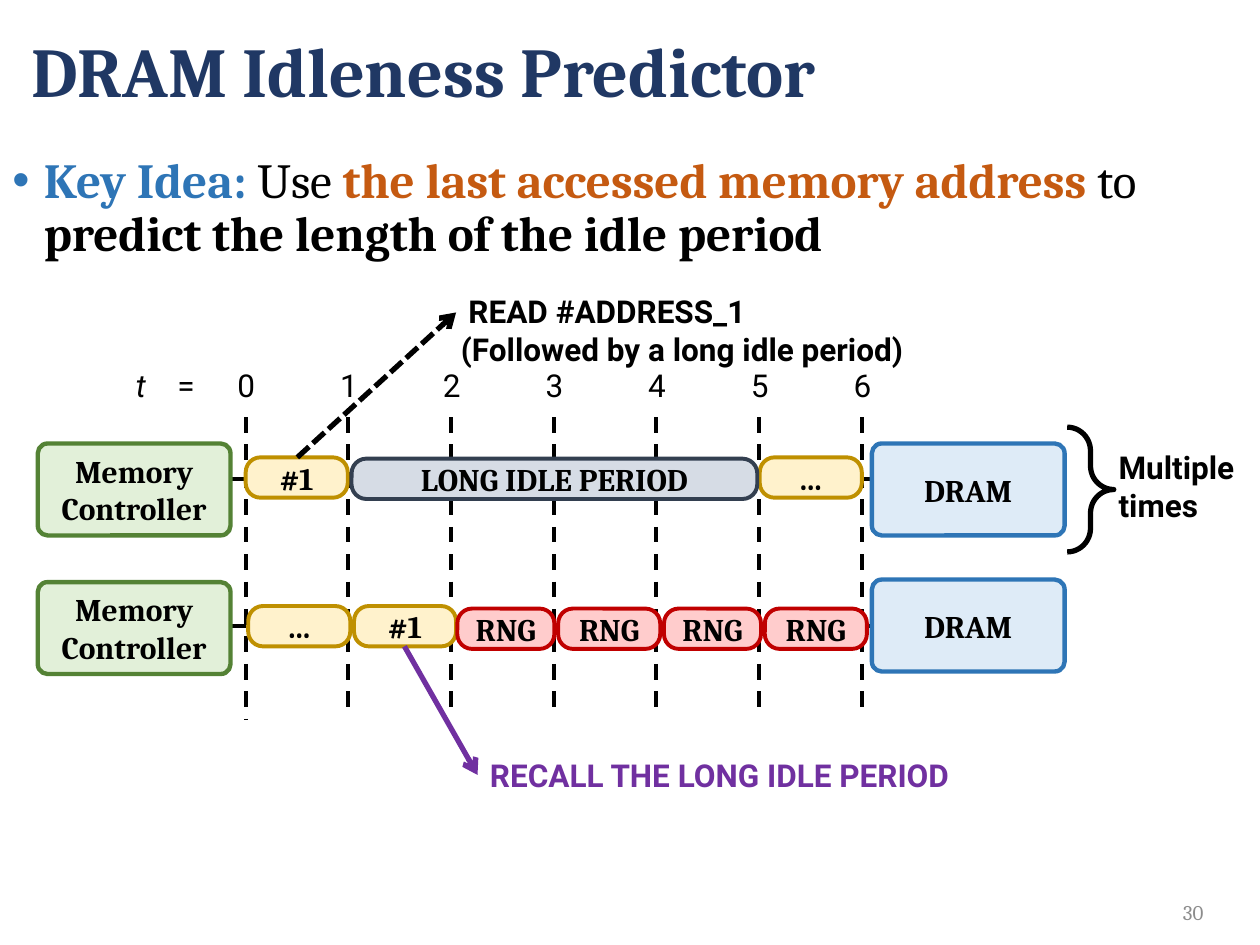
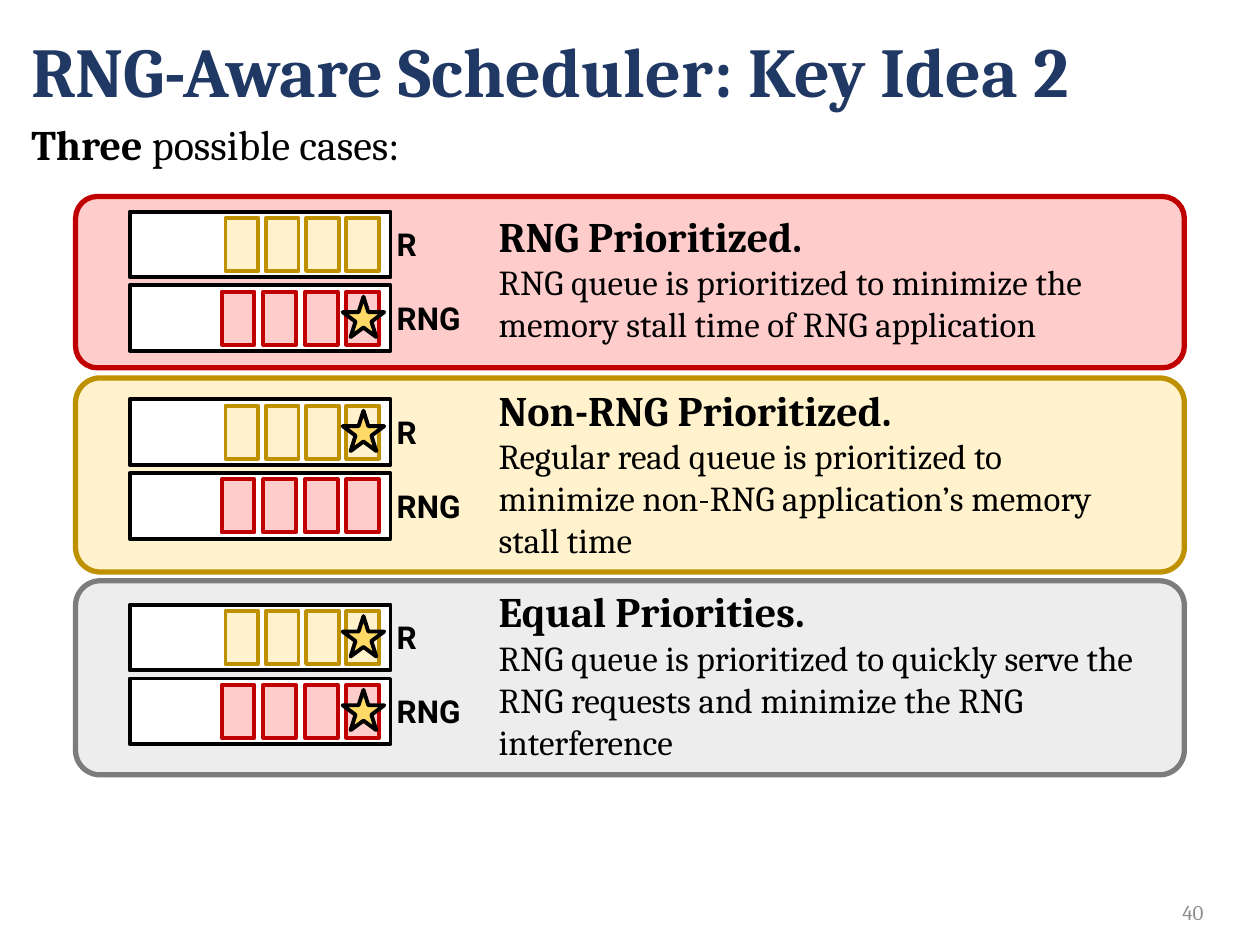
from lxml import etree
from pptx import Presentation
from pptx.dml.color import RGBColor
from pptx.enum import dml, shapes, text
from pptx.oxml.ns import qn
from pptx.util import Inches, Pt

# Shared style
SERIF, SANS = "Cambria", "Roboto"
BLACK = RGBColor(0x00, 0x00, 0x00)
WHITE = RGBColor(0xFF, 0xFF, 0xFF)
NAVY = RGBColor(0x20, 0x38, 0x64)
BLUE = RGBColor(0x2E, 0x75, 0xB6)
ORANGE = RGBColor(0xC5, 0x5A, 0x11)
PURPLE = RGBColor(0x70, 0x30, 0xA0)
NUMBER_GRAY = RGBColor(0x8C, 0x8C, 0x8C)
STAR_GOLD = RGBColor(0xFF, 0xD9, 0x66)

# Fill and outline pairs
GREEN_BOX = (RGBColor(0xE2, 0xF0, 0xD9), RGBColor(0x54, 0x82, 0x35))
BLUE_BOX = (RGBColor(0xDE, 0xEB, 0xF7), BLUE)
YELLOW_BOX = (RGBColor(0xFF, 0xF2, 0xCC), RGBColor(0xBF, 0x90, 0x00))
RED_BOX = (RGBColor(0xFF, 0xCC, 0xCC), RGBColor(0xC0, 0x00, 0x00))
SLATE_BOX = (RGBColor(0xD6, 0xDC, 0xE5), RGBColor(0x33, 0x3F, 0x50))
GRAY_BOX = (RGBColor(0xED, 0xED, 0xED), RGBColor(0x7C, 0x7C, 0x7C))
QUEUE_BOX = (WHITE, BLACK)
STAR = (STAR_GOLD, BLACK)

LEFT, CENTER, RIGHT = (text.PP_ALIGN.LEFT, text.PP_ALIGN.CENTER,
                       text.PP_ALIGN.RIGHT)
TOP, MIDDLE = text.MSO_ANCHOR.TOP, text.MSO_ANCHOR.MIDDLE
KIND = shapes.MSO_SHAPE
DASH, SHORT_DASH = dml.MSO_LINE.DASH, dml.MSO_LINE.SQUARE_DOT

# Predictor slide: text as (words, colour, bold)
KEY_IDEA = [
    ("Key Idea: ", BLUE, True),
    ("Use ", BLACK, False),
    ("the last accessed memory address ", ORANGE, True),
    ("to ", BLACK, False),
    ("predict the length of the idle period", BLACK, True),
]
TICK_COUNT, TICK_LEFT, TICK_STEP = 7, 1.95, 0.815
# Each lane: top of the controller, top of the memory, height of the wire
LANES = [(3.52, 3.52, 3.8), (4.62, 4.6, 4.97)]
# Each request: words, left, top, width, colours
REQUESTS = [
    ("…", 1.97, 4.81, 0.81, YELLOW_BOX),
    ("#1", 2.81, 4.81, 0.81, YELLOW_BOX),
    ("#1", 1.95, 3.63, 0.81, YELLOW_BOX),
    ("…", 6.03, 3.63, 0.81, YELLOW_BOX),
    ("LONG IDLE PERIOD", 2.79, 3.64, 3.22, SLATE_BOX),
    ("RNG", 3.63, 4.83, 0.77, RED_BOX),
    ("RNG", 4.43, 4.83, 0.81, RED_BOX),
    ("RNG", 5.27, 4.83, 0.77, RED_BOX),
    ("RNG", 6.07, 4.83, 0.81, RED_BOX),
]
# Each callout: words, place, colour
CALLOUTS = [
    ("RECALL THE LONG IDLE PERIOD", (3.79, 5.95, 4.59, 0.4), PURPLE),
    ("Multiple times", (8.78, 3.51, 1.2, 0.71), BLACK),
    ("READ #ADDRESS_1", (3.62, 2.27, 3.8, 0.4), BLACK),
    ("(Followed by a long idle period)", (3.56, 2.57, 3.8, 0.4), BLACK),
]

# Scheduler slide
CASES = [
    {"name": "RNG Prioritized.",
     "detail": "RNG queue is prioritized to minimize the memory stall time "
               "of RNG application",
     "top": 1.56, "height": 1.36, "text_top": 1.62, "queue_top": 1.68,
     "colors": RED_BOX, "starred": ["RNG"]},
    {"name": "Non-RNG Prioritized.",
     "detail": "Regular read queue is prioritized to minimize non-RNG "
               "application’s memory stall time",
     "top": 3, "height": 1.54, "text_top": 3, "queue_top": 3.17,
     "colors": YELLOW_BOX, "starred": ["R"]},
    {"name": "Equal Priorities.",
     "detail": "RNG queue is prioritized to quickly serve the RNG requests "
               "and minimize the RNG interference",
     "top": 4.61, "height": 1.54, "text_top": 4.6, "queue_top": 4.8,
     "colors": GRAY_BOX, "starred": ["R", "RNG"]},
]
# Each queue: label, cell colours, distance between cells
QUEUES = [("R", YELLOW_BOX, 0.32), ("RNG", RED_BOX, 0.33)]
QUEUE_STEP, CELL_COUNT, LAST_CELL_LEFT = 0.585, 4, 2.75


def write(frame, paragraphs, align=LEFT, anchor=TOP, spacing=None):
    """Fill a frame; each paragraph lists (words, size, colour, bold, font)."""
    frame.word_wrap = True
    frame.vertical_anchor = anchor
    for index, spans in enumerate(paragraphs):
        para = frame.add_paragraph() if index else frame.paragraphs[0]
        para.alignment = align
        if spacing:
            para.line_spacing = spacing
        for words, size, color, bold, font in spans:
            span = para.add_run()
            span.text = words
            span.font.size = Pt(size)
            span.font.color.rgb = color
            span.font.bold = bold
            span.font.name = font


def add_text(page, place, paragraphs, **style):
    box = page.shapes.add_textbox(*map(Inches, place))
    write(box.text_frame, paragraphs, **style)
    return box


def add_label(page, place, words, color=BLACK, bold=True, align=LEFT):
    return add_text(page, place, [[(words, 18, color, bold, SANS)]],
                    align=align)


def add_box(page, kind, place, colors, width=2.25, corner=None, words=None):
    fill, outline = colors
    box = page.shapes.add_shape(kind, *map(Inches, place))
    box.shadow.inherit = False
    if fill is None:
        box.fill.background()
    else:
        box.fill.solid()
        box.fill.fore_color.rgb = fill
    box.line.color.rgb = outline
    box.line.width = Pt(width)
    if corner is not None:
        box.adjustments[0] = corner
    if words:
        write(box.text_frame, [[(words, 18, BLACK, True, SERIF)]],
              CENTER, MIDDLE)
    return box


def add_line(page, start, end, color=BLACK, width=2.25, dash=None,
             arrow=False):
    line = page.shapes.add_connector(shapes.MSO_CONNECTOR.STRAIGHT,
                                     *map(Inches, start + end))
    line.line.color.rgb = color
    line.line.width = Pt(width)
    if dash:
        line.line.dash_style = dash
    if arrow:
        etree.SubElement(line.line._get_or_add_ln(), qn("a:tailEnd"),
                         type="arrow")
    etree.SubElement(line._element.spPr, qn("a:effectLst"))


def add_page(deck, title, number):
    page = deck.slides.add_slide(deck.slide_layouts[6])
    add_text(page, (0.15, 0, 9.73, 1.19), [[(title, 40, NAVY, True, SERIF)]],
             anchor=MIDDLE, spacing=0.9)
    add_text(page, (9.18, 7.13, 0.47, 0.22),
             [[(number, 12, NUMBER_GRAY, False, SERIF)]],
             align=RIGHT, anchor=MIDDLE)
    return page


def add_key_idea(page):
    spans = [(words, 28, color, bold, SERIF)
             for words, color, bold in KEY_IDEA]
    box = add_text(page, (0, 1.19, 10, 1.1), [spans], spacing=0.9)
    props = box.text_frame.paragraphs[0]._p.get_or_add_pPr()
    props.set("marL", str(Inches(0.25)))
    props.set("indent", str(-Inches(0.25)))
    etree.SubElement(props, qn("a:buFont"), typeface="Arial")
    etree.SubElement(props, qn("a:buChar"), char="•")


def add_time_axis(page):
    for tick in range(TICK_COUNT):
        x = TICK_LEFT + tick * TICK_STEP
        add_line(page, (x, 3.31), (x, 5.63 if tick else 5.71), dash=DASH)
        add_label(page, (x - 0.23, 2.86, 0.47, 0.4), str(tick),
                  bold=False, align=CENTER)
    box = add_label(page, (0.98, 2.86, 0.91, 0.4), "t\t=", bold=False)
    para = box.text_frame.paragraphs[0]
    para.runs[0].text = "t"
    para.runs[0].font.italic = True
    equals = para.add_run()
    equals.text = "\t="
    equals.font.size = Pt(18)
    equals.font.name = SANS
    equals.font.color.rgb = BLACK
    tabs = etree.SubElement(para._p.get_or_add_pPr(), qn("a:tabLst"))
    etree.SubElement(tabs, qn("a:tab"), pos=str(Inches(0.33)), algn="l")


def build_predictor(deck):
    page = add_page(deck, "DRAM Idleness Predictor", "30")
    add_key_idea(page)

    # Wires and ticks lie behind the boxes
    for _, _, wire in LANES:
        add_line(page, (1.83, wire), (8.28, wire), dash=DASH)
    add_time_axis(page)
    for controller_top, memory_top, _ in LANES:
        for words, left, top, colors in (
                ("Memory Controller", 0.3, controller_top, GREEN_BOX),
                ("DRAM", 6.92, memory_top, BLUE_BOX)):
            add_box(page, KIND.ROUNDED_RECTANGLE, (left, top, 1.53, 0.73),
                    colors, 2.5, 0.107, words)
    for words, left, top, width, colors in REQUESTS:
        add_box(page, KIND.ROUNDED_RECTANGLE, (left, top, width, 0.32),
                colors, corner=0.366, words=words)

    # Callouts
    for words, place, color in CALLOUTS:
        add_label(page, place, words, color)
    add_line(page, (3.21, 5.13), (3.79, 6.15), PURPLE, 3, arrow=True)
    add_line(page, (2.36, 3.63), (3.62, 2.48), BLACK, 3, SHORT_DASH, True)
    add_box(page, KIND.RIGHT_BRACE, (8.47, 3.39, 0.37, 0.99),
            (None, BLACK), 3, 0.506)


def add_queue(page, top, label, colors, step, starred):
    add_box(page, KIND.RECTANGLE, (1.03, top, 2.07, 0.52), QUEUE_BOX)
    add_label(page, (3.05, top + 0.06, 0.98, 0.4), label)
    for index in range(CELL_COUNT):
        add_box(page, KIND.RECTANGLE,
                (LAST_CELL_LEFT - index * step, top + 0.05, 0.26, 0.42),
                colors)
    if starred:
        add_box(page, KIND.STAR_5_POINT, (2.72, top + 0.09, 0.33, 0.32), STAR)


def build_scheduler(deck):
    page = add_page(deck, "RNG-Aware Scheduler: Key Idea 2", "40")
    add_text(page, (0.15, 0.94, 9.85, 0.55),
             [[("Three ", 24, BLACK, True, SERIF),
               ("possible cases:", 24, BLACK, False, SERIF)]], spacing=0.9)
    for case in CASES:
        add_box(page, KIND.ROUNDED_RECTANGLE,
                (0.6, case["top"], 8.8, case["height"]), case["colors"],
                3, 0.127)
        for row, (label, colors, step) in enumerate(QUEUES):
            add_queue(page, case["queue_top"] + row * QUEUE_STEP, label,
                      colors, step, label in case["starred"])
        add_text(page, (3.86, case["text_top"], 5.33, case["height"]),
                 [[(case["name"], 24, BLACK, True, SERIF)],
                  [(case["detail"], 20, BLACK, False, SERIF)]])


def main():
    deck = Presentation()
    deck.slide_width, deck.slide_height = Inches(10), Inches(7.5)
    build_predictor(deck)
    build_scheduler(deck)
    deck.save("out.pptx")


if __name__ == "__main__":
    main()
